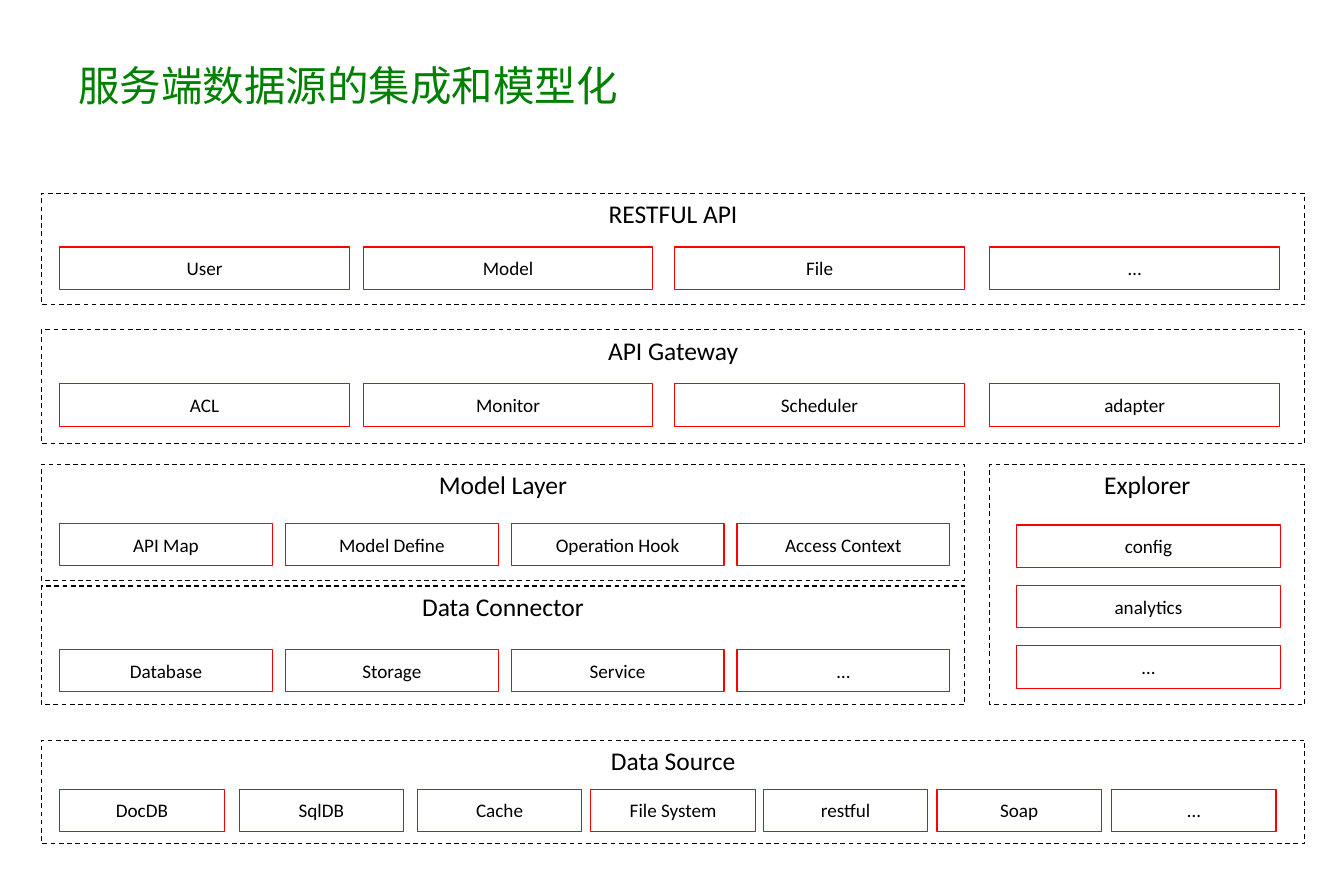
from lxml import etree
from pptx import Presentation
from pptx.dml.color import RGBColor
from pptx.enum.dml import MSO_LINE
from pptx.enum.shapes import MSO_SHAPE
from pptx.enum.text import MSO_ANCHOR, MSO_AUTO_SIZE, PP_ALIGN
from pptx.oxml.ns import qn
from pptx.util import Pt

RECT = MSO_SHAPE.RECTANGLE
DASH = MSO_LINE.DASH
TOP, MIDDLE = MSO_ANCHOR.TOP, MSO_ANCHOR.MIDDLE
LEFT, CENTER = PP_ALIGN.LEFT, PP_ALIGN.CENTER
NO_FIT = MSO_AUTO_SIZE.NONE

BLACK = RGBColor(0, 0, 0)
WHITE = RGBColor(255, 255, 255)
RED = RGBColor(255, 0, 0)
GREEN = RGBColor(0, 128, 0)

# Shared edges and sizes, in points
EDGE, FULL, PART = 25.9, 791.3, 578.2
SIDE = 619.9
CELL_H = 26.6
WIDE = [37.4, 227.5, 422.6, SIDE]
MID = [37.4 + 141.4 * i for i in range(4)]
SMALL = [37.4, 149.8, 261.4, 370.1, 478.1, 586.8, 696.2]


class Board:
    font = "Calibri"
    title_font = "Noto Sans CJK SC"

    def __init__(self, slide):
        self.slide = slide

    def title(self, text, x, y, w, h):
        shape = self.slide.shapes.title
        shape.left, shape.top, shape.width, shape.height = map(Pt, (x, y, w, h))
        frame = shape.text_frame
        frame.text = text
        frame.auto_size = NO_FIT
        frame.vertical_anchor = MIDDLE
        frame.margin_left = frame.margin_right = Pt(7.9)
        para = frame.paragraphs[0]
        para.alignment = LEFT
        run = para.runs[0]
        run.font.name = self.title_font
        run.font.size = Pt(26)
        run.font.color.rgb = GREEN
        east = etree.SubElement(run._r.get_or_add_rPr(), qn("a:ea"))
        east.set("typeface", self.title_font)

    def box(self, text, x, y, w, h, size, color, anchor):
        shape = self.slide.shapes.add_shape(RECT, Pt(x), Pt(y), Pt(w), Pt(h))
        shape.shadow.inherit = False
        shape.line.color.rgb = color
        shape.line.width = Pt(0.75)
        frame = shape.text_frame
        frame.text = text
        frame.word_wrap = True
        frame.vertical_anchor = anchor
        frame.margin_left = frame.margin_right = Pt(6.5)
        frame.margin_top = frame.margin_bottom = Pt(3.2)
        para = frame.paragraphs[0]
        para.alignment = CENTER
        font = para.runs[0].font
        font.name, font.size = self.font, Pt(size)
        font.color.rgb = BLACK
        return shape

    def panel(self, text, x, y, w, h):
        shape = self.box(text, x, y, w, h, 16, BLACK, TOP)
        shape.fill.background()
        shape.line.dash_style = DASH

    def cell(self, text, x, y, w):
        shape = self.box(text, x, y, w, CELL_H, 12, RED, MIDDLE)
        shape.fill.solid()
        shape.fill.fore_color.rgb = WHITE

    def row(self, names, lefts, y, w):
        for name, x in zip(names, lefts):
            self.cell(name, x, y, w)


def main():
    deck = Presentation()
    deck.slide_width, deck.slide_height = Pt(841.68), Pt(545.04)
    board = Board(deck.slides.add_slide(deck.slide_layouts[5]))
    board.title("服务端数据源的集成和模型化", 41, 18, 757.4, 69.8)

    # Layers: heading, top, width, height, cells, cell lefts, cell top, cell width
    layers = [
        ("RESTFUL API", 121, FULL, 69.8,
         ["User", "Model", "File", "…"], WIDE, 154.8, 181.4),
        ("API Gateway", 206.6, FULL, 71.3,
         ["ACL", "Monitor", "Scheduler", "adapter"], WIDE, 240.5, 181.4),
        ("Model Layer", 290.9, PART, 72.7,
         ["API Map", "Model Define", "Operation Hook", "Access Context"],
         MID, 327.8, 133.2),
        ("Data Connector", 367.2, PART, 74.2,
         ["Database", "Storage", "Service", "…"], MID, 406.8, 133.2),
        ("Data Source", 463.7, FULL, 64.8,
         ["DocDB", "SqlDB", "Cache", "File System", "restful", "Soap", "…"],
         SMALL, 494.4, 103),
    ]
    for head, y, w, h, names, lefts, cell_y, cell_w in layers:
        board.panel(head, EDGE, y, w, h)
        board.row(names, lefts, cell_y, cell_w)

    # Explorer column
    board.panel("Explorer", SIDE, 290.9, 197.3, 150.5)
    for i, name in enumerate(["config", "analytics", "…"]):
        board.cell(name, 636.5, 329 + 37.8 * i, 165.6)

    deck.save("out.pptx")


if __name__ == "__main__":
    main()
